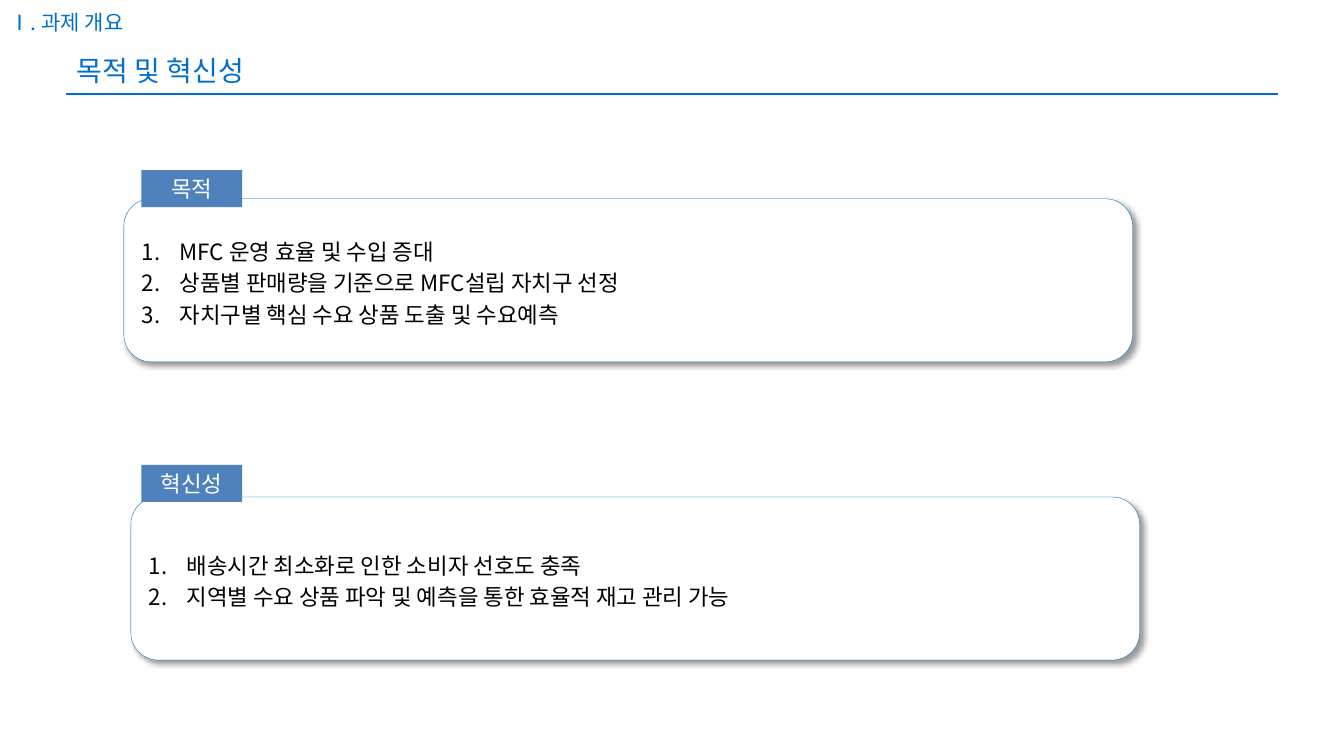
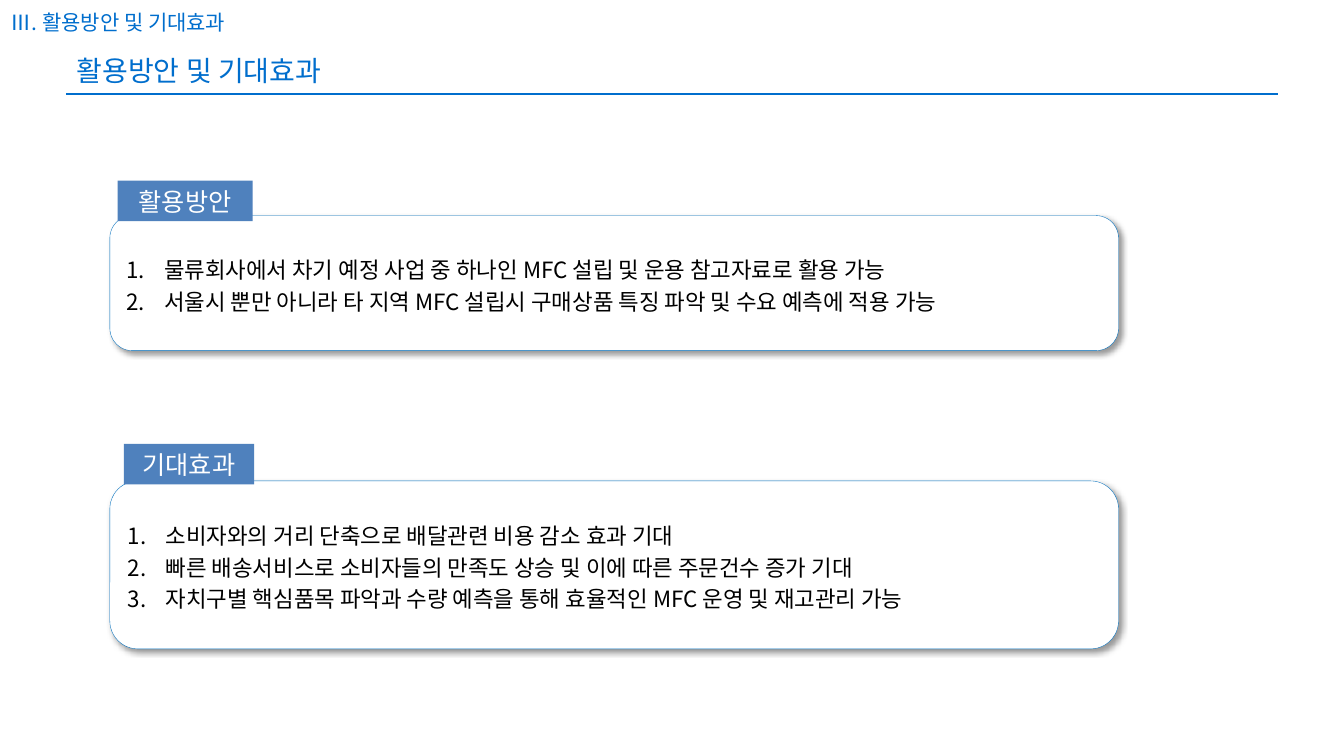
from lxml.etree import SubElement
from pptx import Presentation
from pptx.dml.color import RGBColor
from pptx.enum.shapes import MSO_CONNECTOR, MSO_SHAPE
from pptx.enum.text import MSO_ANCHOR as ANCHOR, PP_ALIGN as ALIGN
from pptx.oxml.ns import qn
from pptx.util import Pt

FONT = "Noto Sans CJK KR"
BLUE, EDGE, TAB, WHITE, BLACK = "006ECD", "0070C0", "4F81BD", "FFFFFF", "000000"
PANEL_W = 720.5
INDENT = 27

SLIDES = [
    ("Ⅰ. 과제 개요", 0, 117.5, "목적 및 혁신성", [
        ((88.5, 142, PANEL_W, 116.5), "목적", (12.5, -20.5, 72, 26.5), 16, [
            "MFC 운영 효율 및 수입 증대",
            "상품별 판매량을 기준으로 MFC설립 자치구 선정",
            "자치구별 핵심 수요 상품 도출 및 수요예측"]),
        ((93.5, 355, PANEL_W, 116.5), "혁신성", (7.5, -23, 72, 26.5), 16, [
            "배송시간 최소화로 인한 소비자 선호도 충족",
            "지역별 수요 상품 파악 및 예측을 통한 효율적 재고 관리 가능"]),
    ]),
    ("Ⅲ. 활용방안 및 기대효과", 0.5, 281, "활용방안 및 기대효과", [
        ((78.5, 154, PANEL_W, 96.5), "활용방안", (5.5, -25, 96.5, 29), 18, [
            "물류회사에서 차기 예정 사업 중 하나인 MFC 설립 및 운용 참고자료로 활용 가능",
            "서울시 뿐만 아니라 타 지역 MFC 설립시 구매상품 특징 파악 및 수요 예측에 적용 가능"]),
        ((78.5, 343.5, PANEL_W, 120), "기대효과", (10, -26.5, 93, 29), 18, [
            "소비자와의 거리 단축으로 배달관련 비용 감소 효과 기대",
            "빠른 배송서비스로 소비자들의 만족도 상승 및 이에 따른 주문건수 증가 기대",
            "자치구별 핵심품목 파악과 수량 예측을 통해 효율적인 MFC 운영 및 재고관리 가능"]),
    ]),
]


def rgb(color):
    return RGBColor.from_string(color)


def add_run(p, text, size, color):
    r = p.add_run()
    r.text = text
    r.font.size = Pt(size)
    r.font.name = FONT
    r.font.color.rgb = rgb(color)
    SubElement(r.font._element, qn("a:ea"), typeface=FONT)


def add_box(s, kind, box, fill):
    sp = s.shapes.add_shape(kind, *map(Pt, box))
    sp.shadow.inherit = False
    sp.fill.solid()
    sp.fill.fore_color.rgb = rgb(fill)
    sp.line.fill.background()
    sp.text_frame.word_wrap = True
    sp.text_frame.vertical_anchor = ANCHOR.MIDDLE
    return sp


def add_shadow(sp):
    effects = sp.element.spPr.find(qn("a:effectLst"))
    shadow = SubElement(effects, qn("a:outerShdw"), blurRad=str(Pt(4)), dist=str(Pt(3)),
                        dir="2700000", algn="tl", rotWithShape="0")
    color = SubElement(shadow, qn("a:srgbClr"), val=BLACK)
    SubElement(color, qn("a:alpha"), val="40000")


def number(p):
    pPr = p._p.get_or_add_pPr()
    pPr.set("marL", str(Pt(INDENT)))
    pPr.set("indent", str(Pt(-INDENT)))
    SubElement(pPr, qn("a:buFont"), typeface=FONT)
    SubElement(pPr, qn("a:buAutoNum"), type="arabicPeriod")


def add_panel(s, box, label, tab, label_size, items):
    sp = add_box(s, MSO_SHAPE.FLOWCHART_ALTERNATE_PROCESS, box, WHITE)
    sp.line.color.rgb = rgb(EDGE)
    sp.line.width = Pt(0.25)
    add_shadow(sp)
    tf = sp.text_frame
    for i, item in enumerate(items):
        p = tf.add_paragraph() if i else tf.paragraphs[0]
        number(p)
        p.alignment = ALIGN.LEFT
        p.line_spacing = Pt(22.5)
        add_run(p, item, 16, BLACK)

    x, y = box[:2]
    dx, dy, w, h = tab
    sp = add_box(s, MSO_SHAPE.RECTANGLE, (x + dx, y + dy, w, h), TAB)
    p = sp.text_frame.paragraphs[0]
    p.alignment = ALIGN.CENTER
    add_run(p, label, label_size, WHITE)


def style_layout(layout, s):
    title = layout.placeholders[0]
    title.left, title.top, title.width, title.height = map(Pt, (47.5, 34, 865.5, 33))
    title.text_frame.vertical_anchor = ANCHOR.MIDDLE
    rule = s.shapes.add_connector(MSO_CONNECTOR.STRAIGHT, *map(Pt, (47.5, 67, 913, 67)))
    rule.line.color.rgb = rgb(BLUE)
    rule.line.width = Pt(1.5)
    SubElement(rule.element.spPr, qn("a:effectLst"))
    layout.shapes.element.append(rule.element)


def add_header(s, section, x, w, title):
    p = s.shapes.title.text_frame.paragraphs[0]
    p.alignment = ALIGN.LEFT
    add_run(p, title, 20, BLUE)
    tf = s.shapes.add_textbox(*map(Pt, (x, 3.5, w, 33))).text_frame
    tf.word_wrap = True
    add_run(tf.paragraphs[0], section, 15, BLUE)


def main():
    prs = Presentation()
    prs.slide_width, prs.slide_height = Pt(960), Pt(540)
    layout = prs.slide_layouts[5]
    for i, (section, x, w, title, panels) in enumerate(SLIDES):
        s = prs.slides.add_slide(layout)
        if i == 0:
            style_layout(layout, s)
        add_header(s, section, x, w, title)
        for panel in panels:
            add_panel(s, *panel)
    prs.save("out.pptx")


if __name__ == "__main__":
    main()
